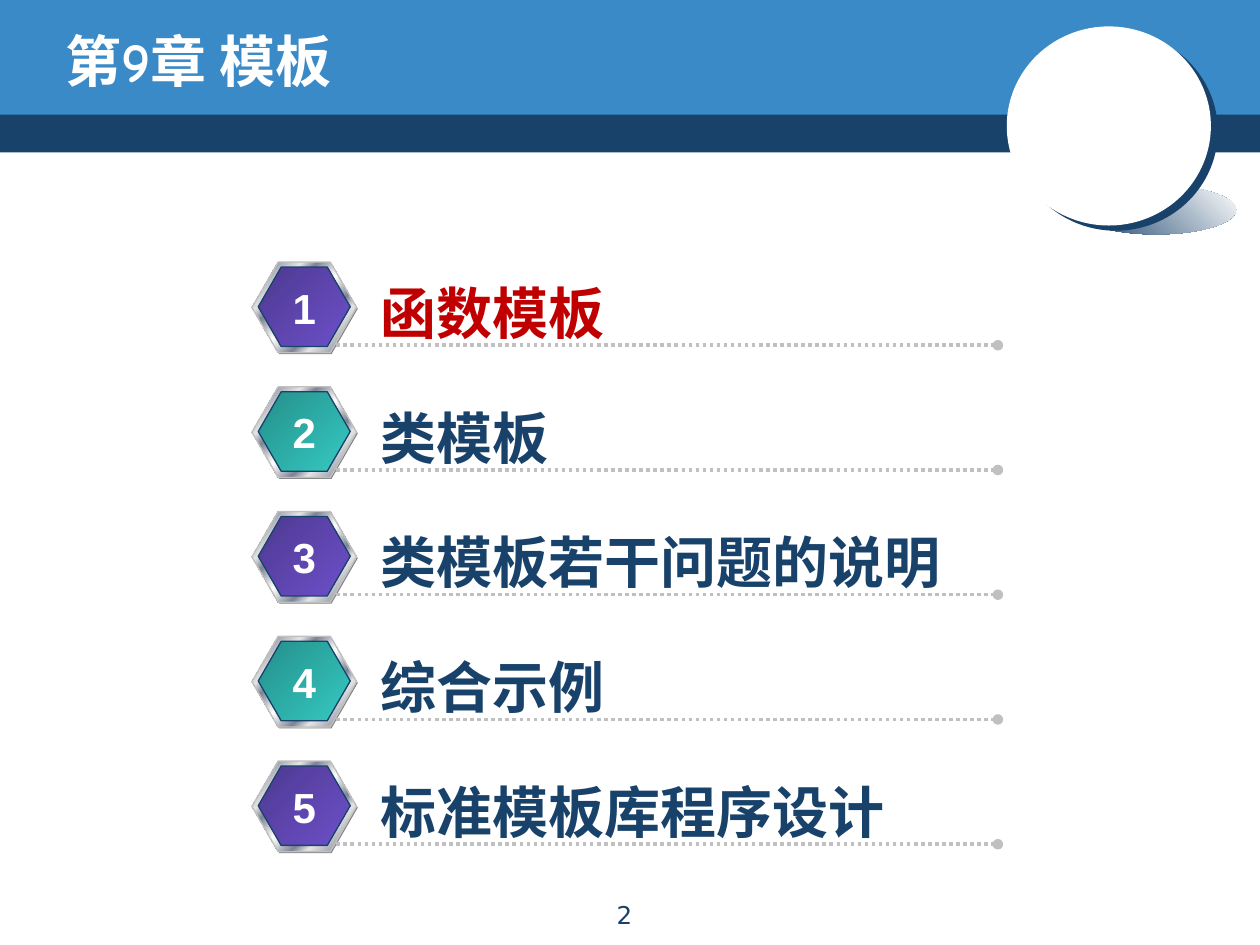
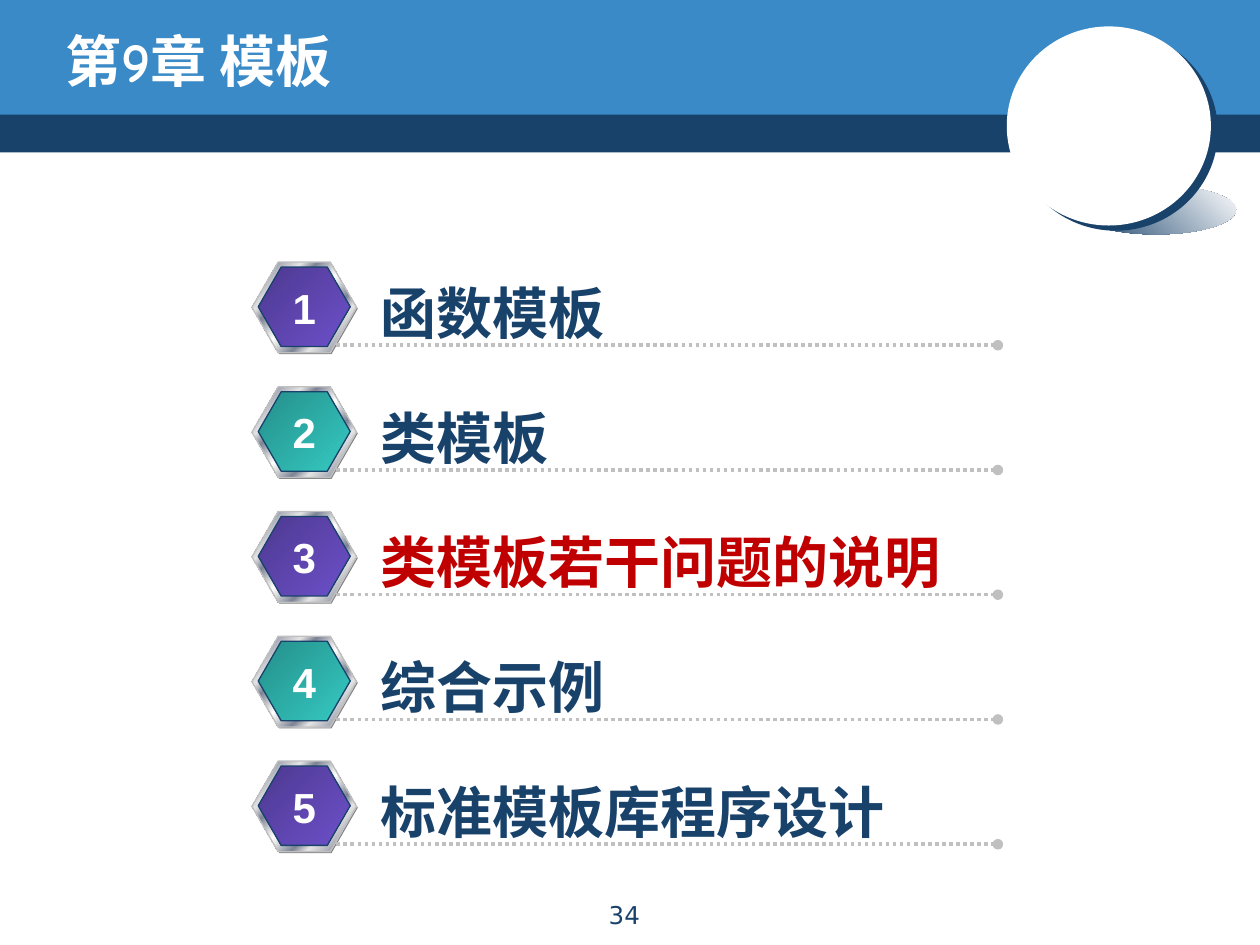
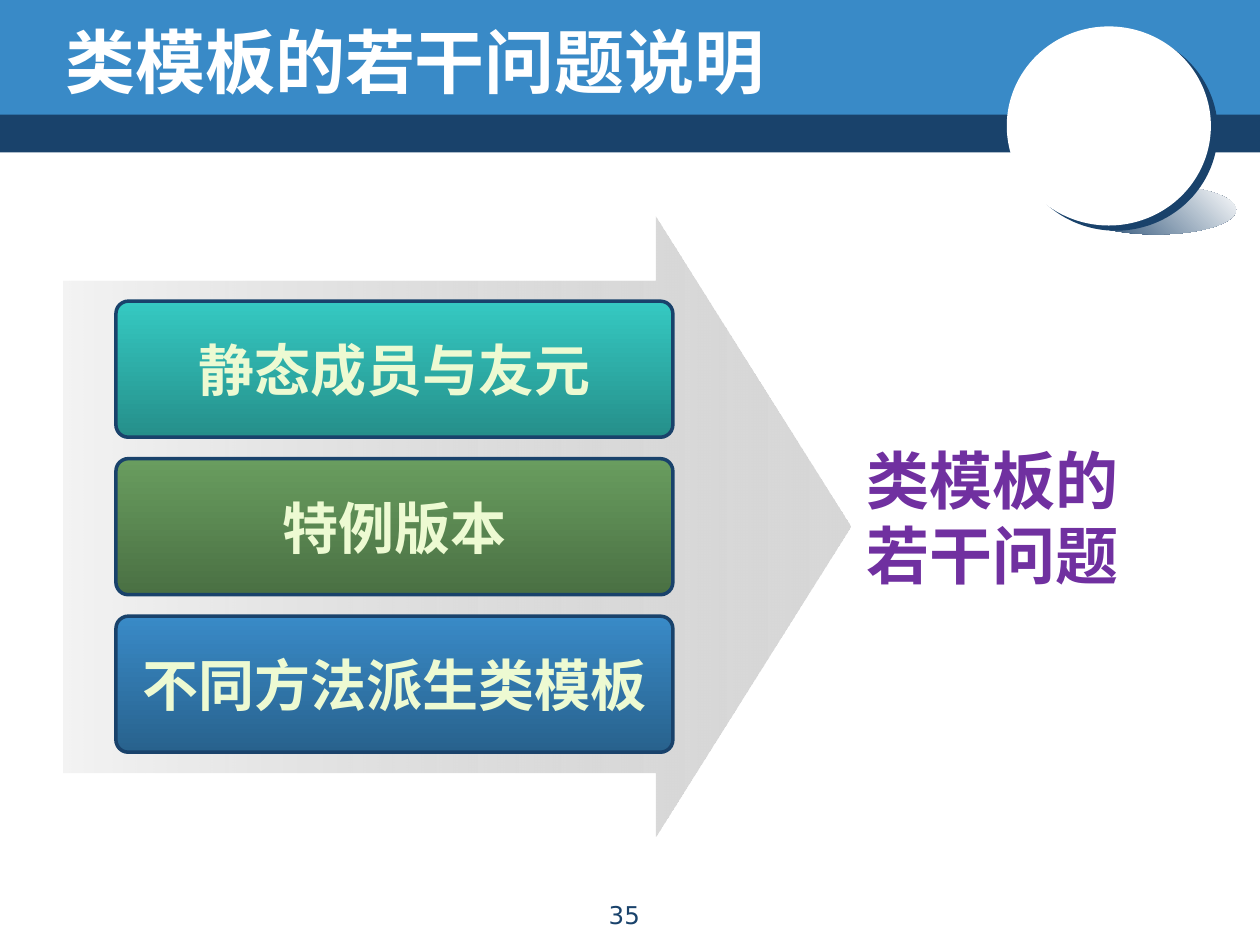
from collections import namedtuple
from dataclasses import dataclass

from lxml import etree
from pptx import Presentation
from pptx.dml.color import RGBColor
from pptx.enum.dml import MSO_LINE
from pptx.enum.shapes import MSO_CONNECTOR, MSO_SHAPE
from pptx.enum.text import MSO_ANCHOR, MSO_AUTO_SIZE, PP_ALIGN
from pptx.oxml.ns import qn
from pptx.util import Inches, Pt

RECTANGLE, ELLIPSE = MSO_SHAPE.RECTANGLE, MSO_SHAPE.OVAL
HEXAGON, ROUNDED = MSO_SHAPE.HEXAGON, MSO_SHAPE.ROUNDED_RECTANGLE
RIGHT_ARROW = MSO_SHAPE.RIGHT_ARROW
STRAIGHT, DOTTED = MSO_CONNECTOR.STRAIGHT, MSO_LINE.ROUND_DOT
LEFT, CENTER = PP_ALIGN.LEFT, PP_ALIGN.CENTER
TOP, MIDDLE = MSO_ANCHOR.TOP, MSO_ANCHOR.MIDDLE
FIT_TEXT = MSO_AUTO_SIZE.SHAPE_TO_FIT_TEXT

Stop = namedtuple("Stop", "position color effect amount", defaults=(None, 0))


@dataclass(frozen=True)
class Theme:
    """Colours, fonts and type sizes shared by all slides."""

    navy: str = "19426B"
    blue: str = "398AC7"
    white: str = "FFFFFF"
    purple: str = "6D50CA"
    teal: str = "35C9C2"
    green: str = "699D5F"
    highlight: str = "C00000"
    conclusion: str = "7030A0"
    cream: str = "EDFAD2"
    silver: str = "C0C0C0"
    gray: str = "808080"
    arrow_start: str = "B2B2B2"
    arrow_end: str = "D7D7D7"
    metal_light: str = "E6E6E6"
    metal_dark: str = "7D8496"
    title_font: str = "Comic Neue"
    body_font: str = "Arial"
    chinese_font: str = "Noto Sans CJK SC"
    page_font: str = "DejaVu Sans"
    page_size: int = 14
    number_size: int = 24
    text_size: int = 32
    conclusion_size: int = 36
    title_size: int = 40


THEME = Theme()
DARK_SHADE = 46
METAL = [
    Stop(0, THEME.metal_light), Stop(7, THEME.metal_dark),
    Stop(26, THEME.metal_light), Stop(34, THEME.metal_dark),
    Stop(46, THEME.metal_light), Stop(50, THEME.white),
    Stop(54, THEME.metal_light), Stop(66, THEME.metal_dark),
    Stop(74, THEME.metal_light), Stop(93, THEME.metal_dark),
    Stop(100, THEME.metal_light),
]
CHAPTER_TITLE = "第9章 模板"
TOPICS = ["函数模板", "类模板", "类模板若干问题的说明", "综合示例", "标准模板库程序设计"]
ISSUES = [("静态成员与友元", THEME.teal), ("特例版本", THEME.green), ("不同方法派生类模板", THEME.blue)]


class Box(namedtuple("Box", "left top width height")):
    """A rectangle in inches."""

    def inner(self, left, top, width, height):
        """Return a box placed relative to this one."""
        return Box(self.left + left, self.top + top, width, height)

    def lengths(self):
        """Return the four values as lengths."""
        return [Inches(value) for value in self]


def add_color(parent, color, effect=None, amount=0):
    """Add a colour element with an optional effect in percent."""
    element = etree.SubElement(parent, qn("a:srgbClr"), val=color)
    if effect:
        etree.SubElement(element, qn("a:" + effect), val=str(amount * 1000))


def fill_gradient(shape, stops, angle):
    """Fill a shape with a linear gradient, its angle turning clockwise."""
    shape.fill.gradient()
    gradient = shape._element.spPr.find(qn("a:gradFill"))
    for child in list(gradient):
        gradient.remove(child)
    stop_list = etree.SubElement(gradient, qn("a:gsLst"))
    for stop in stops:
        element = etree.SubElement(stop_list, qn("a:gs"), pos=str(stop.position * 1000))
        add_color(element, stop.color, stop.effect, stop.amount)
    etree.SubElement(gradient, qn("a:lin"), ang=str(angle * 60000), scaled="0")


def add_figure(shapes, kind, box, fill=None, angle=0, line=None, line_width=0.75, adjust=()):
    """Add a preset shape with a plain, gradient or empty fill."""
    figure = shapes.add_shape(kind, *box.lengths())
    figure.shadow.inherit = False
    for index, value in enumerate(adjust):
        figure.adjustments[index] = value
    if fill is None:
        figure.fill.background()
    elif isinstance(fill, str):
        figure.fill.solid()
        figure.fill.fore_color.rgb = RGBColor.from_string(fill)
    else:
        fill_gradient(figure, fill, angle)
    if line:
        figure.line.color.rgb = RGBColor.from_string(line)
        figure.line.width = Pt(line_width)
    else:
        figure.line.fill.background()
    return figure


def write(shape, text, size, color, font, bold=True, align=CENTER, anchor=MIDDLE, wrap=True):
    """Write text into a shape and format all its runs."""
    frame = shape.text_frame
    frame.text = text
    frame.word_wrap = wrap
    frame.vertical_anchor = anchor
    for paragraph in frame.paragraphs:
        paragraph.alignment = align
        for run in paragraph.runs:
            run.font.size = Pt(size)
            run.font.bold = bold
            run.font.color.rgb = RGBColor.from_string(color)
            run.font.name = font
            etree.SubElement(run._r.rPr, qn("a:ea"), typeface=THEME.chinese_font)


def add_label(slide, box, text, size, color, **style):
    """Add a bold one-line label that grows with its text."""
    label = slide.shapes.add_textbox(*box.lengths())
    write(label, text, size, color, THEME.body_font, anchor=TOP, wrap=False, **style)
    label.text_frame.auto_size = FIT_TEXT


def add_ball(slide, box):
    """Add the white ball with its crescent and cast shadow."""
    ball = slide.shapes.add_group_shape().shapes
    add_figure(ball, ELLIPSE, box.inner(0.55, 1.26, 1.27, 0.39),
               [Stop(0, THEME.navy), Stop(100, THEME.white)], 315)
    sphere = add_figure(ball, ELLIPSE, box.inner(0, 0, 1.62, 1.58), THEME.white)
    effects = sphere._element.spPr.find(qn("a:effectLst"))
    crescent = etree.SubElement(effects, qn("a:outerShdw"), blurRad="0", dist=str(Pt(5)),
                                dir=str(37 * 60000), algn="ctr", rotWithShape="0")
    add_color(crescent, THEME.navy)
    add_figure(ball, ELLIPSE, box.inner(0.55, 0.47, 0.57, 0.59), THEME.white)


def add_header(slide, box, title, size):
    """Add the two bands, the ball and the title."""
    add_figure(slide.shapes, RECTANGLE, box.inner(0, 0.87, box.width, 0.34), THEME.navy)
    add_figure(slide.shapes, RECTANGLE, box.inner(0, 0, box.width, 0.91), THEME.blue)
    add_ball(slide, box.inner(7.99, 0.21, 1.82, 1.65))
    heading = slide.shapes.add_textbox(*box.inner(0.42, 0.17, 8.08, 0.62).lengths())
    write(heading, title, size, THEME.white, THEME.title_font, align=LEFT)


def add_footer(slide, box, page):
    """Add the page number."""
    footer = slide.shapes.add_textbox(*box.lengths())
    write(footer, str(page), THEME.page_size, THEME.navy, THEME.page_font, bold=False, anchor=TOP)


def add_badge(slide, box, color):
    """Add a hexagonal badge with a metal rim."""
    badge = slide.shapes.add_group_shape().shapes
    outline = (0.289, 1.155)
    add_figure(badge, HEXAGON, box.inner(0.01, 0.01, box.width, box.height),
               THEME.gray, adjust=outline)
    add_figure(badge, HEXAGON, box, METAL, 45, THEME.silver, adjust=outline)
    face = [Stop(0, color, "shade", DARK_SHADE), Stop(100, color)]
    add_figure(badge, HEXAGON, box.inner(0.05, 0.04, 0.73, 0.63), face, 45,
               THEME.navy, adjust=outline)


def add_leader(slide, box):
    """Add a dotted line along the top of a box, ending in a dot."""
    left, top, width, _ = box.lengths()
    leader = slide.shapes.add_connector(STRAIGHT, left, top, left + width, top)
    leader.line.color.rgb = RGBColor.from_string(THEME.silver)
    leader.line.width = Pt(2)
    leader.line.dash_style = DOTTED
    properties = leader._element.spPr
    etree.SubElement(properties.find(qn("a:ln")), qn("a:tailEnd"), type="oval")
    etree.SubElement(properties, qn("a:effectLst"))


def add_topic(slide, box, number, topic, active):
    """Add one numbered row of the agenda."""
    add_badge(slide, box.inner(0, 0, 0.83, 0.72), THEME.purple if number % 2 else THEME.teal)
    add_leader(slide, box.inner(0.67, 0.66, box.width - 0.67, 0))
    add_label(slide, box.inner(0.92, 0.08, 0.45 * len(topic) + 0.2, 0.64), topic, THEME.text_size,
              THEME.highlight if active else THEME.navy, align=LEFT)
    add_label(slide, box.inner(0.22, 0.11, 0.39, 0.5), str(number), THEME.number_size, THEME.white)


def add_agenda(slide, box, active_number):
    """Add all topics in equal steps and highlight the active one."""
    step = box.height / len(TOPICS)
    for index, topic in enumerate(TOPICS):
        row = box.inner(0, index * step, box.width, step)
        add_topic(slide, row, index + 1, topic, index + 1 == active_number)


def add_issues(slide, box):
    """Add the arrow, the stacked issues and the conclusion."""
    haze = [Stop(0, THEME.arrow_start, "alpha", 15), Stop(100, THEME.arrow_end)]
    add_figure(slide.shapes, RIGHT_ARROW, box.inner(0, 0, 6.25, box.height), haze, 0,
               adjust=(0.793, 0.315))
    corner = (0.091,)
    for index, (issue, color) in enumerate(ISSUES):
        shading = [Stop(0, color), Stop(100, color, "shade", DARK_SHADE)]
        card = add_figure(slide.shapes, ROUNDED, box.inner(0.42, 0.67 + 1.25 * index, 4.42, 1.08),
                          shading, 90, THEME.navy, 2, corner)
        write(card, issue, THEME.text_size, THEME.cream, THEME.chinese_font, wrap=False)
    conclusion = add_figure(slide.shapes, ROUNDED, box.inner(6, 1.67, 2.75, 1.42), adjust=corner)
    write(conclusion, "类模板的\n若干问题", THEME.conclusion_size, THEME.conclusion,
          THEME.chinese_font)


def add_page(deck, title, title_size, page):
    """Add a blank slide with the shared header and footer."""
    slide = deck.slides.add_slide(deck.slide_layouts[6])
    add_header(slide, Box(0, 0, 10, 1.21), title, title_size)
    add_footer(slide, Box(4.05, 7.09, 1.81, 0.32), page)
    return slide


def main():
    """Build the presentation."""
    deck = Presentation()
    deck.slide_width, deck.slide_height = Inches(10), Inches(7.5)
    for page, active_number in ((2, 1), (34, 3)):
        agenda = add_page(deck, CHAPTER_TITLE, THEME.text_size, page)
        add_agenda(agenda, Box(2, 2.08, 5.92, 4.95), active_number)
    issues = add_page(deck, "类模板的若干问题说明", THEME.title_size, 35)
    add_issues(issues, Box(0.5, 1.72, 8.75, 4.92))
    deck.save("out.pptx")


main()
